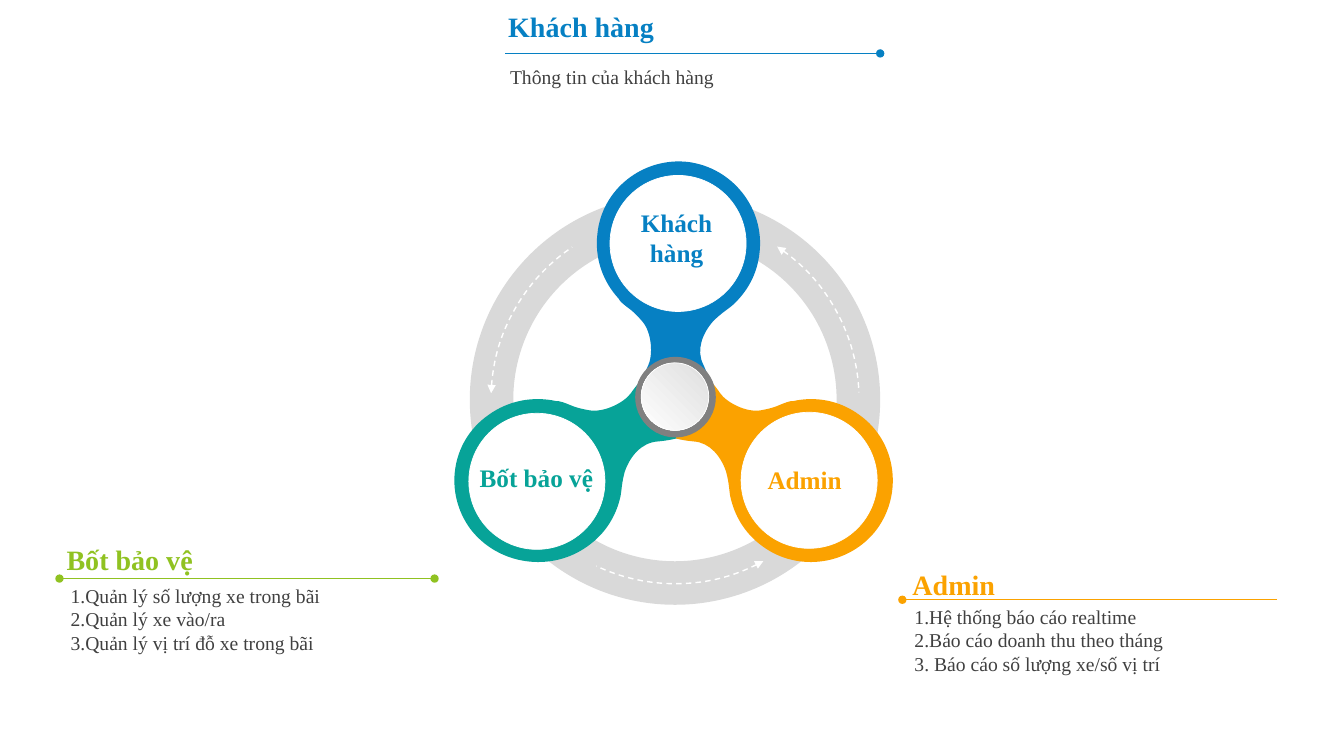
from lxml.etree import SubElement
from pptx import Presentation
from pptx.dml.color import RGBColor
from pptx.enum.dml import MSO_LINE as Dash
from pptx.enum.shapes import MSO_CONNECTOR as Link, MSO_SHAPE as Kind
from pptx.enum.text import MSO_ANCHOR as Anchor, MSO_AUTO_SIZE as Fit, PP_ALIGN as Align
from pptx.oxml.ns import qn
from pptx.util import Inches, Pt

BLUE, TEAL, ORANGE, GREEN = "0680C3", "07A398", "FBA200", "90C221"
WHITE, SILVER, GREY, DARK = "FFFFFF", "D9D9D9", "808080", "404040"
ARM_X, ARM_Y, ARM_W, ARM_H = 6.7, 3.75, 2.26, 1.93
START = (8.52, 4.12)
CURVES = [
    ((8.32, 3.97), (8.08, 3.93), (7.86, 3.98)),
    ((7.86, 3.98), (7.86, 3.98), (7.86, 3.98)),
    ((7.85, 3.98), (7.85, 3.98), (7.84, 3.98)),
    ((7.79, 3.99), (7.75, 4.01), (7.7, 4.03)),
    ((7.65, 4.05), (7.6, 4.06), (7.55, 4.07)),
    ((7.4, 4.1), (7.2, 3.99), (7.14, 3.9)),
    ((7.08, 3.81), (7.02, 3.75), (7.02, 3.75)),
    ((6.94, 3.89), (6.94, 3.89), (6.94, 3.89)),
    ((6.77, 4.2), (6.77, 4.2), (6.77, 4.2)),
    ((6.7, 4.35), (6.7, 4.35), (6.7, 4.35)),
    ((6.7, 4.35), (6.77, 4.37), (6.88, 4.38)),
    ((7.04, 4.39), (7.15, 4.53), (7.2, 4.68)),
    ((7.23, 4.79), (7.23, 4.87), (7.24, 4.92)),
    ((7.28, 5.11), (7.38, 5.29), (7.56, 5.42)),
    ((7.91, 5.68), (8.42, 5.61), (8.69, 5.25)),
    ((8.95, 4.89), (8.88, 4.38), (8.52, 4.12)),
]


def color(code):
    return RGBColor.from_string(code)


def place(shape, left, top, width, height):
    shape.left, shape.top = Inches(left), Inches(top)
    shape.width, shape.height = Inches(width), Inches(height)


def paint(shape, fill):
    shape.shadow.inherit = False
    shape.fill.solid()
    shape.fill.fore_color.rgb = color(fill)
    shape.line.fill.background()


def stroke(shape, code, width):
    shape.line.color.rgb = color(code)
    shape.line.width = Pt(width)


def tip(shape, **ends):
    for end, kind in ends.items():
        SubElement(shape.line._get_or_add_ln(), qn(f"a:{end}End"), type=kind)


def disc(slide, left, top, size, fill, kind=Kind.OVAL):
    box = [Inches(n) for n in (left, top, size, size)]
    shape = slide.shapes.add_shape(kind, *box)
    paint(shape, fill)
    return shape


def bend(shape):
    steps = list(shape._element.iter(qn("a:lnTo")))
    for first in range(0, len(steps), 3):
        trio = steps[first:first + 3]
        curve = trio[0].makeelement(qn("a:cubicBezTo"), {})
        trio[0].addprevious(curve)
        for step in trio:
            curve.append(step[0])
            step.getparent().remove(step)


def arm(slide, left, top, fill, width=ARM_W, turn=0, flip=False):
    points = []
    for x, y in (START, *(knot for curve in CURVES for knot in curve)):
        x -= ARM_X
        points.append((Inches(ARM_W - x if flip else x), Inches(y - ARM_Y)))
    draft = slide.shapes.build_freeform(*points[0])
    draft.add_line_segments(points[1:], close=True)
    shape = draft.convert_to_shape()
    bend(shape)
    place(shape, left, top, width, ARM_H)
    shape.rotation = turn
    paint(shape, fill)


def arc(slide, turn):
    shape = disc(slide, 4.87, 2.14, 3.65, WHITE, Kind.ARC)
    shape.fill.background()
    for i, angle in enumerate((182, 236)):
        shape.adjustments[i] = angle * 0.6
    shape.rotation = turn
    stroke(shape, WHITE, 1)
    shape.line.dash_style = Dash.DASH
    tip(shape, head="triangle")


def write(shape, box, text, size, code, bold=False, align=Align.LEFT):
    place(shape, *box)
    frame = shape.text_frame
    frame.text = text
    frame.word_wrap = True
    frame.auto_size = Fit.SHAPE_TO_FIT_TEXT
    frame.vertical_anchor = Anchor.TOP
    for para in frame.paragraphs:
        para.alignment = align
        para.space_before = Pt(0)
        props = para._p.get_or_add_pPr()
        props.set("marL", "0")
        props.set("indent", "0")
        SubElement(props, qn("a:buNone"))
        for run in para.runs:
            font = run.font
            font.name, font.size, font.bold = "Times New Roman", Pt(size), bold
            font.color.rgb = color(code)


def label(slide, box, text, code):
    shape = slide.shapes.add_textbox(0, 0, 0, 0)
    write(shape, box, text, 18, code, True, Align.CENTER)


def rule(slide, left, top, code, **ends):
    line = slide.shapes.add_connector(
        Link.STRAIGHT, Inches(left), Inches(top), Inches(left + 3.72), Inches(top))
    stroke(line, code, 0.5)
    tip(line, **ends)
    SubElement(line._element.spPr, qn("a:effectLst"))


def wheel(slide):
    ring = disc(slide, 4.66, 1.93, 4.07, SILVER, Kind.DONUT)
    ring.adjustments[0] = 0.106
    arm(slide, ARM_X, ARM_Y, ORANGE)
    arm(slide, 5.66, 1.66, BLUE, turn=240)
    arm(slide, 4.4, ARM_Y, TEAL, width=2.31, flip=True)
    for left, top in ((6.05, 1.74), (7.35, 4.09), (4.65, 4.1)):
        stroke(disc(slide, left, top, 1.35, WHITE), WHITE, 0.5)
    disc(slide, 6.3, 3.54, 0.8, GREY)
    hub = disc(slide, 6.36, 3.6, 0.67, WHITE)
    hub.fill.gradient()
    hub.fill.gradient_angle = 225
    for stop, code in zip(hub.fill.gradient_stops, ("DEDEDE", WHITE)):
        stop.color.rgb = color(code)
    stroke(hub, WHITE, 0.5)
    for turn in (0, 239.3, 121.7):
        arc(slide, turn)
    label(slide, (6.12, 2.01, 1.18, 0.71), "Khách hàng", BLUE)
    label(slide, (4.65, 4.54, 1.34, 0.4), "Bốt bảo vệ", TEAL)
    label(slide, (7.39, 4.56, 1.18, 0.4), "Admin", ORANGE)


def notes(slide):
    title, guard, tasks, admin, stats = slide.placeholders
    write(title, (4.94, 0.04, 3.69, 0.44), "Khách hàng", 20, BLUE, True)
    write(guard, (0.56, 5.33, 3.71, 0.44), "Bốt bảo vệ", 20, GREEN, True)
    write(admin, (8.95, 5.58, 3.69, 0.44), "Admin", 20, ORANGE, True)
    info = slide.shapes.add_textbox(0, 0, 0, 0)
    write(info, (4.96, 0.59, 3.68, 0.34), "Thông tin của khách hàng", 14, DARK)
    write(tasks, (0.6, 5.74, 3.69, 0.81),
          "1.Quản lý số lượng xe trong bãi\n2.Quản lý xe vào/ra\n"
          "3.Quản lý vị trí đỗ xe trong bãi", 14, DARK)
    write(stats, (8.97, 5.95, 3.68, 0.81),
          "1.Hệ thống báo cáo realtime\n2.Báo cáo doanh thu theo tháng\n"
          "3. Báo cáo số lượng xe/số vị trí", 14, DARK)
    rule(slide, 5.01, 0.53, BLUE, tail="oval")
    rule(slide, 0.59, 5.74, GREEN, head="oval", tail="oval")
    rule(slide, 8.95, 5.95, ORANGE, head="oval")


def main():
    deck = Presentation()
    deck.slide_width, deck.slide_height = Inches(13.33), Inches(7.5)
    slide = deck.slides.add_slide(deck.slide_layouts.get_by_name("Comparison"))
    wheel(slide)
    notes(slide)
    deck.save("out.pptx")


if __name__ == "__main__":
    main()
